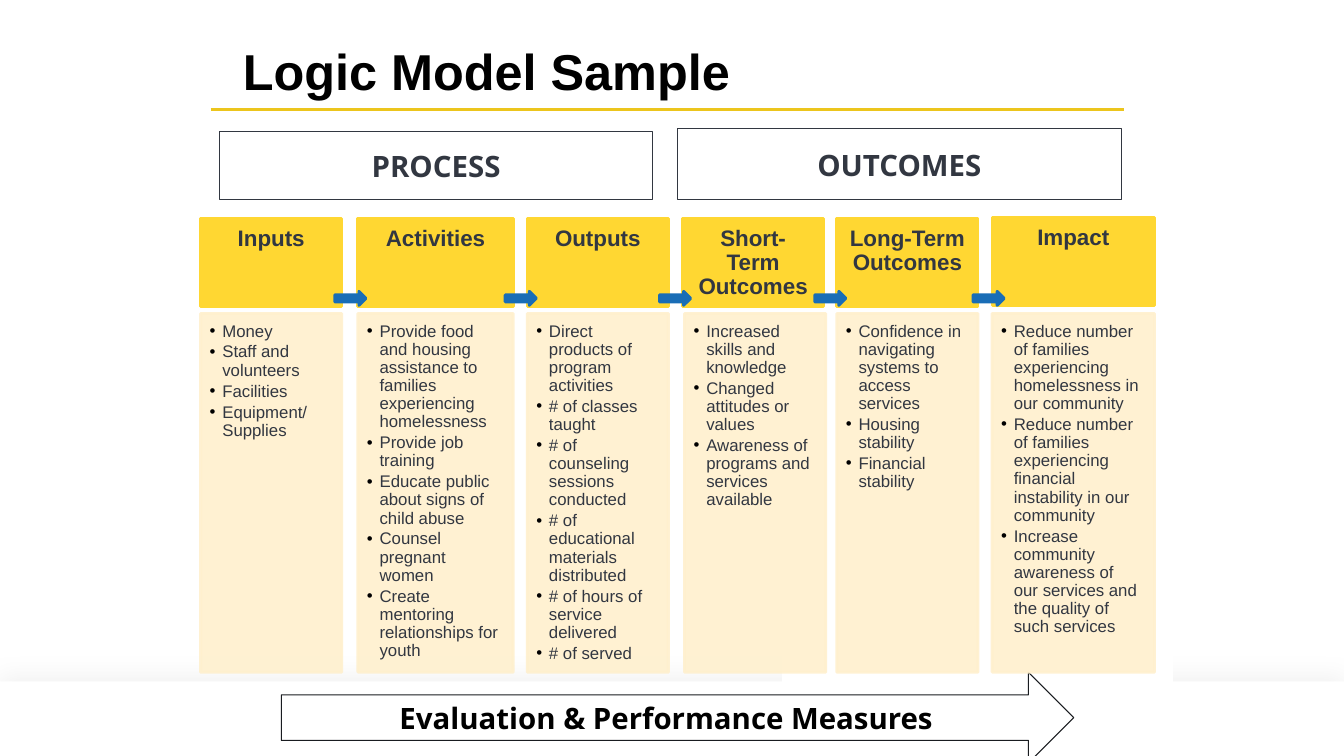
import typing

import lxml.etree
import pptx
import pptx.dml.color
import pptx.enum.shapes
import pptx.enum.text
import pptx.oxml
import pptx.oxml.ns
import pptx.util

RGBColor = pptx.dml.color.RGBColor
SHAPE = pptx.enum.shapes.MSO_SHAPE
ALIGN = pptx.enum.text.PP_ALIGN
ANCHOR = pptx.enum.text.MSO_ANCHOR

WHITE = RGBColor(0xFF, 0xFF, 0xFF)
BLACK = RGBColor(0x00, 0x00, 0x00)
SLATE = RGBColor(0x32, 0x37, 0x41)
INK = RGBColor(0x19, 0x1C, 0x20)
YELLOW = RGBColor(0xFF, 0xD7, 0x32)
CREAM = RGBColor(0xFF, 0xF0, 0xCE)
GOLD = RGBColor(0xEC, 0xC5, 0x1D)
BLUE = RGBColor(0x19, 0x6D, 0xB6)

CELL = pptx.util.Inches(0.1)  # the grid has 133.3 columns and 75 rows
COLUMNS, ROWS = 133.3, 75
HEADING_ROWS, PANEL_START = 8.7, 9.4
HEADING_MARGINS = (1.2, 0.8, 1.2, 0.8)
PANEL_MARGINS = (0.9, 0.9, 1.2, 1.4)
DRAWING = 'xmlns:a="http://schemas.openxmlformats.org/drawingml/2006/main"'


class Box(typing.NamedTuple):
    left: float
    top: float
    width: float
    height: float

    def lengths(self):
        return [round(cells * CELL) for cells in self]


class Stage(typing.NamedTuple):
    heading: str
    box: Box
    items: list
    panel_shift: float = 0


STAGES = [
    Stage("Inputs", Box(19.9, 21.7, 14, 45),
          ["Money", "Staff and volunteers", "Facilities", "Equipment/Supplies"]),
    Stage("Activities", Box(35.5, 21.7, 15.4, 45),
          ["Provide food and housing assistance to families experiencing homelessness",
           "Provide job training", "Educate public about signs of child abuse",
           "Counsel pregnant women", "Create mentoring relationships for youth"]),
    Stage("Outputs", Box(52.3, 21.7, 14, 45),
          ["Direct products of program activities", "# of classes taught",
           "# of counseling sessions conducted", "# of educational materials distributed",
           "# of hours of service delivered", "# of served"]),
    Stage("Short-Term Outcomes", Box(67.7, 21.7, 14, 45),
          ["Increased skills and knowledge", "Changed attitudes or values",
           "Awareness of programs and services available"], panel_shift=0.2),
    Stage("Long-Term Outcomes", Box(83, 21.7, 14, 45),
          ["Confidence in navigating systems to access services",
           "Housing stability", "Financial stability"]),
    Stage("Impact", Box(98.4, 21.6, 16.1, 45.1),
          ["Reduce number of families experiencing homelessness in our community",
           "Reduce number of families experiencing financial instability in our community",
           "Increase community awareness of our services and the quality of such services"]),
]
ARROW_LEFTS = [33.2, 50.1, 65.4, 80.8, 96.5]


def add_block(page, kind, box, fill=None, line=None, weight=2.0, opacity=100):
    block = page.shapes.add_shape(kind, *box.lengths())
    block.shadow.inherit = False
    if fill is None:
        block.fill.background()
    else:
        block.fill.solid()
        block.fill.fore_color.rgb = fill
    if line is None:
        block.line.fill.background()
    else:
        block.line.color.rgb = line
        block.line.width = pptx.util.Pt(weight)
    if opacity < 100:
        for colour in block._element.spPr.iter(pptx.oxml.ns.qn("a:srgbClr")):
            alpha = lxml.etree.SubElement(colour, pptx.oxml.ns.qn("a:alpha"))
            alpha.set("val", str(opacity * 1000))
    return block


def set_frame(shape, margins=(1, 0.5, 1, 0.5), anchor=ANCHOR.MIDDLE):
    frame = shape.text_frame
    frame.word_wrap = True
    frame.auto_size = pptx.enum.text.MSO_AUTO_SIZE.NONE
    frame.vertical_anchor = anchor
    (frame.margin_left, frame.margin_top,
     frame.margin_right, frame.margin_bottom) = (round(cells * CELL) for cells in margins)
    return frame


def write(para, text, size, font="Arial", colour=SLATE, bold=False,
          align=ALIGN.CENTER, spacing=None, after=None):
    para.alignment = align
    para.line_spacing = spacing
    if after is not None:
        para.space_after = pptx.util.Pt(after)
    span = para.add_run()
    span.text = text
    span.font.name = font
    span.font.size = pptx.util.Pt(size)
    span.font.bold = bold
    span.font.color.rgb = colour


def add_bullet(para):
    para.level = 1
    properties = para._p.get_or_add_pPr()
    indent = round(1.25 * CELL)
    properties.set("marL", str(indent))
    properties.set("indent", str(-indent))
    for xml in (f'<a:buClr {DRAWING}><a:srgbClr val="{BLACK}"/></a:buClr>',
                f'<a:buFont {DRAWING} typeface="Arial"/>',
                f'<a:buChar {DRAWING} char="•"/>'):
        properties.append(pptx.oxml.parse_xml(xml))


def draw_background(page, box):
    # Bottom band with a soft shadow above it
    band = add_block(page, SHAPE.RECTANGLE, box, WHITE)
    effects = band._element.spPr.find(pptx.oxml.ns.qn("a:effectLst"))
    effects.append(pptx.oxml.parse_xml(
        f'<a:outerShdw {DRAWING} blurRad="228600" dist="38100" dir="16200000" '
        f'rotWithShape="0"><a:srgbClr val="{BLACK}"><a:alpha val="6000"/>'
        '</a:srgbClr></a:outerShdw>'))
    # White areas over the band and behind the outcomes
    add_block(page, SHAPE.RECTANGLE, Box(54.8, box.top + 0.1, 24.7, 7.3), WHITE)
    add_block(page, SHAPE.RECTANGLE, Box(77.7, box.top - 40.6, 38.5, 40.7), WHITE, WHITE)


def draw_title(page, box):
    title = page.shapes.title
    title.left, title.top, title.width, title.height = box.lengths()
    write(set_frame(title).paragraphs[0], "Logic Model Sample", 36,
          colour=BLACK, bold=True, align=ALIGN.LEFT)
    # Rule under the title
    left, level, right = (round(cells * CELL)
                          for cells in (box.left - 2.2, box.top + 8.8, box.left + 88.4))
    rule = page.shapes.add_connector(
        pptx.enum.shapes.MSO_CONNECTOR.STRAIGHT, left, level, right, level)
    rule.line.color.rgb = GOLD
    rule.line.width = pptx.util.Pt(2.25)
    lxml.etree.SubElement(rule._element.spPr, pptx.oxml.ns.qn("a:effectLst"))


def draw_banner(page, kind, box, text, line=SLATE, colour=SLATE):
    banner = add_block(page, kind, box, line=line, weight=0.75)
    write(set_frame(banner).paragraphs[0], text, 21, "Open Sans", colour, bold=True)


def draw_stage(page, stage):
    box = stage.box
    # Heading
    heading = add_block(page, SHAPE.RECTANGLE, box._replace(height=HEADING_ROWS),
                        YELLOW, YELLOW)
    frame = set_frame(heading, HEADING_MARGINS, ANCHOR.TOP)
    write(frame.paragraphs[0], stage.heading, 16, bold=True, spacing=0.9)
    # Panel with the list
    bottom = box.top + box.height
    top = STAGES[0].box.top + PANEL_START
    panel = add_block(page, SHAPE.RECTANGLE,
                      Box(box.left + stage.panel_shift, top, box.width, bottom - top),
                      CREAM, CREAM, opacity=90)
    frame = set_frame(panel, PANEL_MARGINS, ANCHOR.TOP)
    for index, item in enumerate(stage.items):
        para = frame.add_paragraph() if index else frame.paragraphs[0]
        add_bullet(para)
        write(para, item, 12, align=ALIGN.LEFT, spacing=0.9, after=2)


def main():
    deck = pptx.Presentation()
    deck.slide_width = round(COLUMNS * CELL)
    deck.slide_height = ROWS * CELL
    page = deck.slides.add_slide(deck.slide_layouts[5])

    draw_background(page, Box(0, 67.6, COLUMNS, 7.4))
    draw_title(page, Box(23.1, 2.1, 86.2, 9.7))
    draw_banner(page, SHAPE.RECTANGLE, Box(21.8, 13, 42.9, 6.8), "PROCESS")
    draw_banner(page, SHAPE.RECTANGLE, Box(67.2, 12.8, 44, 7), "OUTCOMES")
    draw_banner(page, SHAPE.RIGHT_ARROW, Box(27.9, 66.7, 78.6, 9),
                "Evaluation & Performance Measures", INK, BLACK)
    for stage in STAGES:
        draw_stage(page, stage)
    # Arrows from stage to stage
    for left in ARROW_LEFTS:
        add_block(page, SHAPE.RIGHT_ARROW, Box(left, 28.9, 3.1, 1.4), BLUE, BLUE)

    deck.save("out.pptx")


if __name__ == "__main__":
    main()
